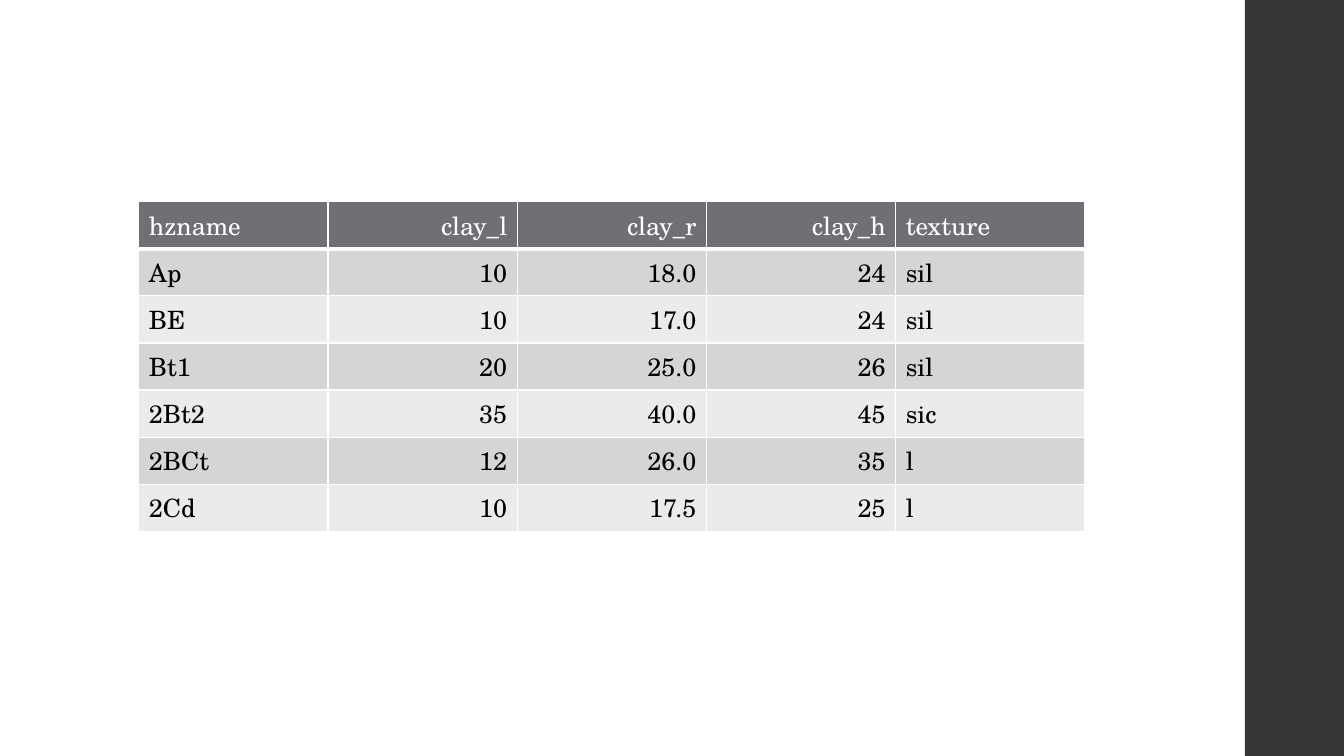
from lxml import etree
from pptx import Presentation
from pptx import util as u
from pptx.dml.color import RGBColor
from pptx.enum import shapes, text
from pptx.oxml.ns import qn

WHITE = RGBColor(0xFF, 0xFF, 0xFF)
BLACK = RGBColor(0x00, 0x00, 0x00)
CHARCOAL = RGBColor(0x35, 0x35, 0x37)
HEADER = RGBColor(0x6F, 0x6F, 0x74)
BANDS = (RGBColor(0xEB, 0xEB, 0xEB), RGBColor(0xD5, 0xD5, 0xD6))
FONT = "TeX Gyre Schola"

HORIZONS = [
    ("hzname", "clay_l", "clay_r", "clay_h", "texture"),
    ("Ap", "10", "18.0", "24", "sil"),
    ("BE", "10", "17.0", "24", "sil"),
    ("Bt1", "20", "25.0", "26", "sil"),
    ("2Bt2", "35", "40.0", "45", "sic"),
    ("2BCt", "12", "26.0", "35", "l"),
    ("2Cd", "10", "17.5", "25", "l"),
]
NUMERIC_COLUMNS = (1, 2, 3)


def set_borders(cell, bottom):
    """Rule all four sides in white; the bottom has its own width."""
    tc_pr = cell._tc.get_or_add_tcPr()
    widths = (("lnL", 1), ("lnR", 1), ("lnT", 1), ("lnB", bottom))
    for i, (side, width) in enumerate(widths):
        ln = etree.Element(qn("a:" + side), w=str(u.Pt(width)))
        fill = etree.SubElement(ln, qn("a:solidFill"))
        etree.SubElement(fill, qn("a:srgbClr"), val=str(WHITE))
        tc_pr.insert(i, ln)  # borders come before the fill


def fill_cell(cell, value, is_header, is_numeric, fill):
    cell.fill.solid()
    cell.fill.fore_color.rgb = fill
    set_borders(cell, 3 if is_header else 1)
    p = cell.text_frame.paragraphs[0]
    p.alignment = text.PP_ALIGN.RIGHT if is_numeric else text.PP_ALIGN.LEFT
    r = p.add_run()
    r.text = value
    r.font.name = FONT
    r.font.size = u.Pt(18)
    r.font.bold = False
    r.font.color.rgb = WHITE if is_header else BLACK


def add_side_band(s, left, top, width, height):
    sp = s.shapes.add_shape(shapes.MSO_SHAPE.RECTANGLE, left, top, width, height)
    sp.shadow.inherit = False
    sp.fill.solid()
    sp.fill.fore_color.rgb = CHARCOAL
    sp.line.fill.background()


def add_horizon_table(s, left, top, width, height):
    rows, cols = len(HORIZONS), len(HORIZONS[0])
    table = s.shapes.add_table(rows, cols, left, top, width, height).table
    for row, values in enumerate(HORIZONS):
        for col, value in enumerate(values):
            fill = BANDS[row % 2] if row else HEADER
            fill_cell(table.cell(row, col), value, row == 0,
                      col in NUMERIC_COLUMNS, fill)


prs = Presentation()
prs.slide_width, prs.slide_height = u.Cm(33.87), u.Cm(19.05)
s = prs.slides.add_slide(prs.slide_layouts[6])
s.background.fill.solid()
s.background.fill.fore_color.rgb = WHITE

# Dark band along the right edge
band_left = u.Cm(31.37)
add_side_band(s, band_left, 0, prs.slide_width - band_left, prs.slide_height)

# Clay content by soil horizon
add_horizon_table(s, u.Cm(3.5), u.Cm(5.08), u.Cm(23.84), u.Cm(8.28))

prs.save("out.pptx")
